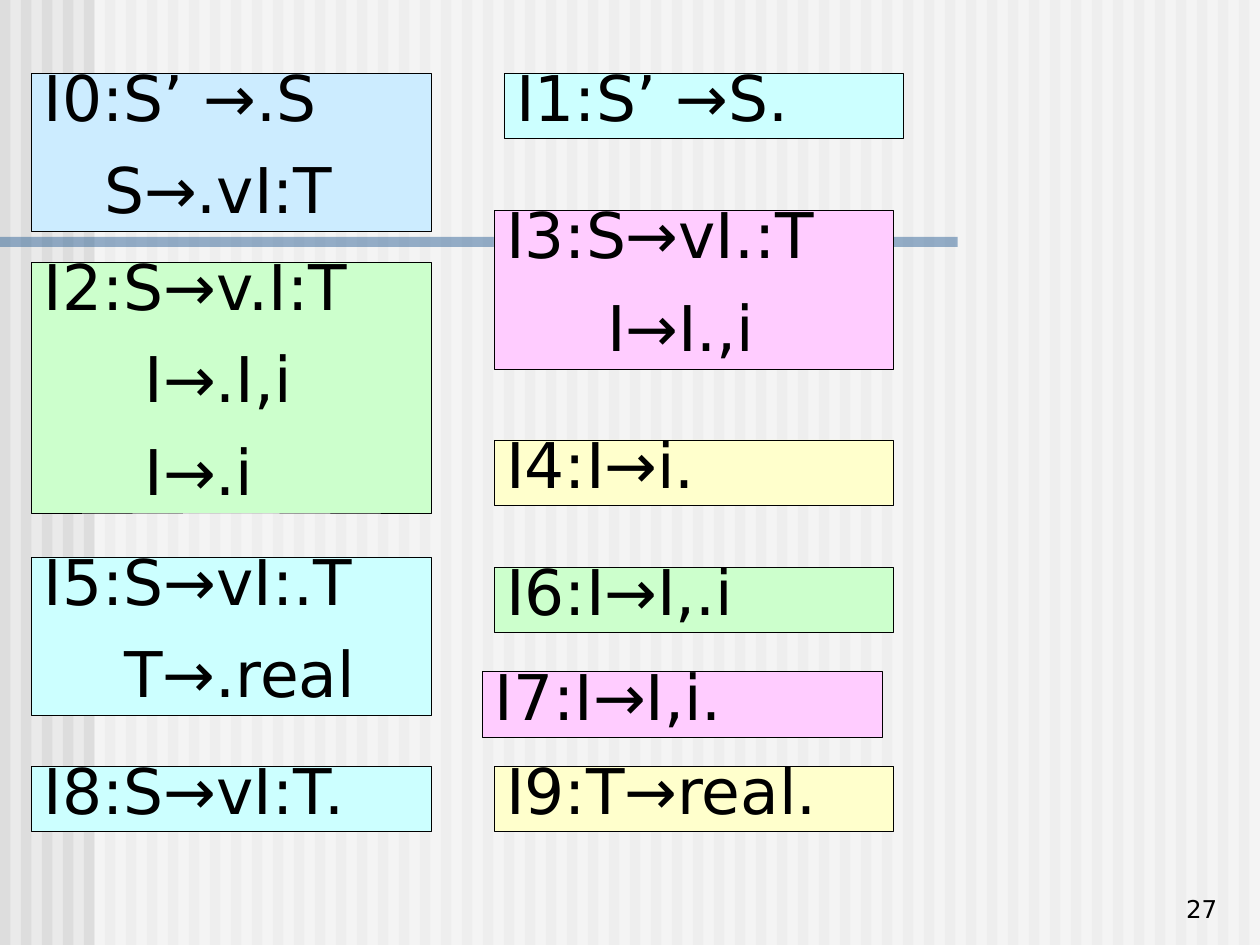
from dataclasses import dataclass

from lxml import etree
from pptx import Presentation
from pptx.dml.color import RGBColor
from pptx.enum.shapes import MSO_SHAPE
from pptx.enum.text import MSO_ANCHOR, MSO_AUTO_SIZE, PP_ALIGN
from pptx.oxml.ns import qn
from pptx.util import Inches, Pt

RECTANGLE = MSO_SHAPE.RECTANGLE
TOP = MSO_ANCHOR.TOP
BOTTOM = MSO_ANCHOR.BOTTOM
GROW = MSO_AUTO_SIZE.SHAPE_TO_FIT_TEXT
LEFT = PP_ALIGN.LEFT
RIGHT = PP_ALIGN.RIGHT


@dataclass(frozen=True)
class Theme:
    font: str = "DejaVu Sans"
    item_size: float = 36
    number_size: float = 14
    item_gap: float = 22.5
    item_spacing: float = 0.7
    border: float = 0.25
    text: str = "000000"
    background: str = "EAEAEA"
    stripe: str = "DDDDDD"
    veil: str = "FFFFFF"
    bar: str = "336699"
    sky: str = "CCECFF"
    cyan: str = "CCFFFF"
    green: str = "CCFFCC"
    pink: str = "FFCCFF"
    yellow: str = "FFFFCC"


class StatePage:
    def __init__(self, deck, theme):
        self.theme = theme
        self.page = deck.slides.add_slide(deck.slide_layouts[6])
        fill = self.page.background.fill
        fill.solid()
        fill.fore_color.rgb = RGBColor.from_string(theme.background)

    def rectangle(self, left, top, width, height, color, alpha=None):
        box = self.page.shapes.add_shape(
            RECTANGLE, Inches(left), Inches(top), Inches(width), Inches(height))
        box.shadow.inherit = False
        box.fill.solid()
        box.fill.fore_color.rgb = RGBColor.from_string(color)
        box.line.fill.background()
        if alpha is not None:
            tint = box.fill._xPr.find(".//" + qn("a:srgbClr"))
            etree.SubElement(tint, qn("a:alpha"), val=str(alpha * 1000))
        return box

    def style(self, para, text, size, align):
        para.text = text
        para.alignment = align
        para.font.name = self.theme.font
        para.font.size = Pt(size)
        para.font.color.rgb = RGBColor.from_string(self.theme.text)

    def item_set(self, left, top, height, color, first, others=(), indent=0):
        theme = self.theme
        box = self.rectangle(left, top, 3.17, height, color)
        box.line.color.rgb = RGBColor.from_string(theme.text)
        box.line.width = Pt(theme.border)
        frame = box.text_frame
        frame.word_wrap = True
        frame.auto_size = GROW
        frame.vertical_anchor = TOP
        for index, item in enumerate((first, *others)):
            para = frame.add_paragraph() if index else frame.paragraphs[0]
            self.style(para, item, theme.item_size, LEFT)
            para.line_spacing = theme.item_spacing
            if index:
                para.space_before = Pt(theme.item_gap)
                para._p.get_or_add_pPr().set("marL", str(Inches(indent)))

    def page_number(self, number):
        box = self.page.shapes.add_textbox(
            Inches(7.68), Inches(6.88), Inches(2.08), Inches(0.5))
        frame = box.text_frame
        frame.word_wrap = True
        frame.vertical_anchor = BOTTOM
        self.style(frame.paragraphs[0], number, self.theme.number_size, RIGHT)


def main():
    deck = Presentation()
    deck.slide_width = Inches(10)
    deck.slide_height = Inches(7.5)
    theme = Theme()
    states = StatePage(deck, theme)

    for index in range(60):
        states.rectangle(index / 6, 0, 1 / 12, 7.5, theme.stripe)
    states.rectangle(0.75, 0, 9.25, 7.5, theme.veil, alpha=50)
    states.rectangle(0, 1.88, 7.6, 0.08, theme.bar, alpha=50)

    one, two, three = 0.52, 1.26, 1.99
    left, right = 0.25, 3.92
    item_sets = [
        (left, 0.58, two, theme.sky, "I0:S’ →.S", ["S→.vI:T"], 0.48),
        (4, 0.58, one, theme.cyan, "I1:S’ →S."),
        (left, 2.08, three, theme.green, "I2:S→v.I:T", ["I→.I,i", "I→.i"], 0.8),
        (right, 1.67, two, theme.pink, "I3:S→vI.:T", ["I→I.,i"], 0.8),
        (right, 3.49, one, theme.yellow, "I4:I→i."),
        (left, 4.42, two, theme.cyan, "I5:S→vI:.T", ["T→.real"], 0.64),
        (right, 4.5, one, theme.green, "I6:I→I,.i"),
        (3.83, 5.33, one, theme.pink, "I7:I→I,i."),
        (left, 6.08, one, theme.cyan, "I8:S→vI:T."),
        (right, 6.08, one, theme.yellow, "I9:T→real."),
    ]
    for item_set in item_sets:
        states.item_set(*item_set)
    states.page_number("27")

    deck.save("out.pptx")


if __name__ == "__main__":
    main()
